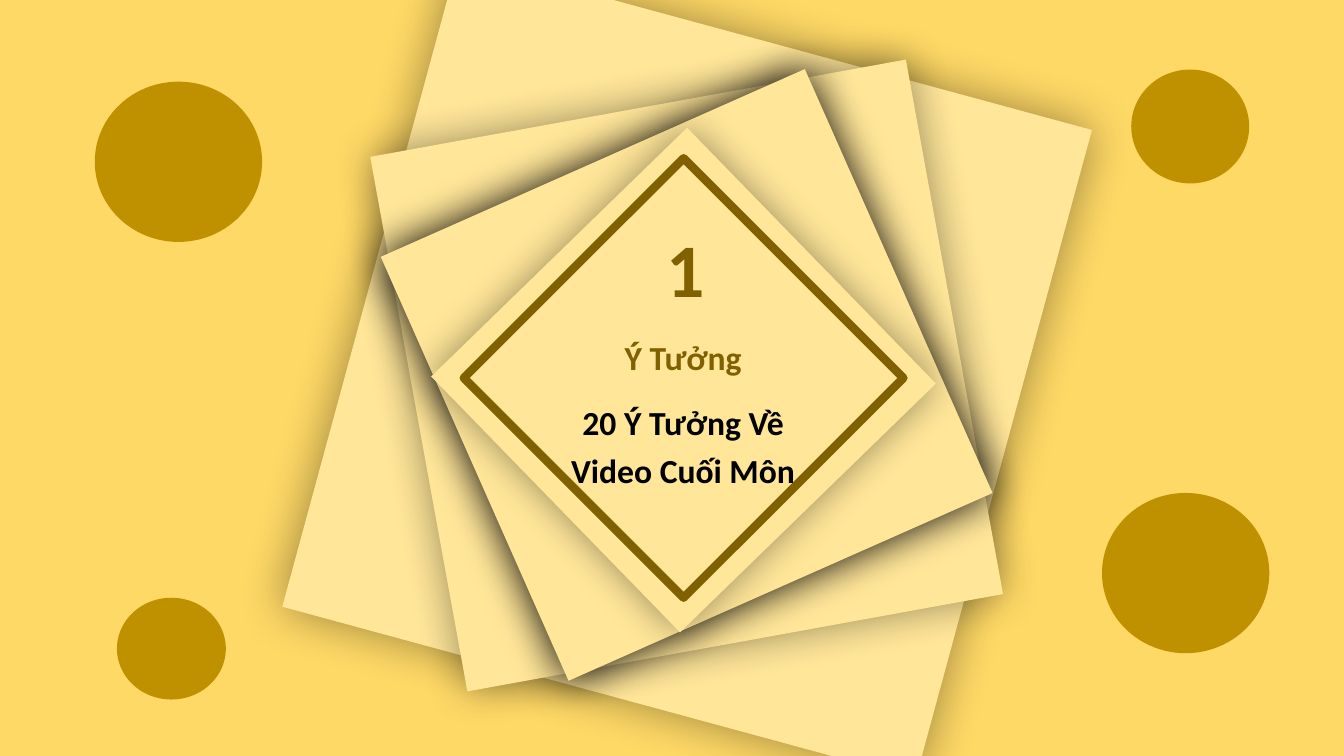
from lxml.etree import SubElement
from pptx import Presentation
from pptx.dml.color import RGBColor
from pptx.enum.shapes import MSO_SHAPE
from pptx.enum.text import MSO_ANCHOR, MSO_AUTO_SIZE, PP_ALIGN
from pptx.oxml.ns import qn
from pptx.util import Inches, Pt

COLORS = {
    "background": "FFD966",
    "card": "FFE699",
    "accent": "806000",
    "dot": "BF9000",
    "text": "000000",
    "shadow": "000000",
}
NUMBER = "1"
TOPIC = [("Ý Tưởng", "accent"), ("20 Ý Tưởng Về Video Cuối Môn", "text")]
CARDS = [
    {"box": (3.56, 0.32, 6.51, 6.67), "angle": 15.2, "alpha": 40, "blur": 34},
    {"box": (4.11, 1.03, 5.4, 5.39), "angle": 349.7, "alpha": 40, "blur": 30},
    {"box": (4.51, 1.42, 4.6, 4.6), "angle": 66.1, "alpha": 100, "blur": 30},
    {"box": (5.01, 2, 3.54, 3.54), "angle": 315.8, "alpha": 40, "blur": 28},
]
FRAME = (4.6, 1.57, 4.36, 4.36)
TOPIC_BOX = (5.3, 3.21, 2.95, 1.69)
NUMBER_BOX = (6.51, 2.15, 0.64, 1.01)
DOTS = [
    (0.94, 0.81, 1.66, 1.59),
    (10.93, 4.89, 1.66, 1.59),
    (11.22, 0.69, 1.17, 1.13),
    (1.16, 5.93, 1.08, 1.01),
]


def rgb(name):
    return RGBColor.from_string(COLORS[name])


def inches(box):
    return [Inches(v) for v in box]


def add_solid(slide, kind, box, color):
    sp = slide.shapes.add_shape(kind, *inches(box))
    sp.shadow.inherit = False
    sp.fill.solid()
    sp.fill.fore_color.rgb = rgb(color)
    sp.line.fill.background()
    return sp


def add_glow_shadow(sp, alpha, blur):
    effects = sp._element.spPr.find(qn("a:effectLst"))
    shadow = SubElement(effects, qn("a:outerShdw"), blurRad=str(Pt(blur)),
                        dist="0", dir="0", algn="ctr", rotWithShape="0")
    color = SubElement(shadow, qn("a:srgbClr"), val=COLORS["shadow"])
    SubElement(color, qn("a:alpha"), val=str(alpha * 1000))


def write(p, text, size=24, color="text", align=PP_ALIGN.CENTER,
          spacing=1.0, before=0, after=0):
    p.alignment = align
    p.line_spacing = spacing
    p.space_before = Pt(before)
    p.space_after = Pt(after)
    r = p.add_run()
    r.text = text
    r.font.name = "Calibri"
    r.font.size = Pt(size)
    r.font.bold = True
    r.font.color.rgb = rgb(color)


def main():
    prs = Presentation()
    prs.slide_width, prs.slide_height = Inches(13.33), Inches(7.5)
    slide = prs.slides.add_slide(prs.slide_layouts[5])
    slide.background.fill.solid()
    slide.background.fill.fore_color.rgb = rgb("background")

    for card in CARDS:
        sp = add_solid(slide, MSO_SHAPE.RECTANGLE, card["box"], "card")
        sp.rotation = card["angle"]
        add_glow_shadow(sp, card["alpha"], card["blur"])

    frame = add_solid(slide, MSO_SHAPE.DIAMOND, FRAME, "card")
    frame.fill.background()
    frame.rotation = 90
    frame.line.color.rgb = rgb("accent")
    frame.line.width = Pt(6)

    title = slide.shapes.title
    title.left, title.top, title.width, title.height = inches(TOPIC_BOX)
    slide.shapes._spTree.append(title._element)
    tf = title.text_frame
    tf.word_wrap = True
    tf.auto_size = MSO_AUTO_SIZE.SHAPE_TO_FIT_TEXT
    tf.vertical_anchor = MSO_ANCHOR.TOP
    for i, (text, color) in enumerate(TOPIC):
        p = tf.add_paragraph() if i else tf.paragraphs[0]
        write(p, text, color=color, spacing=1.2, before=6 if i else 0, after=6)

    number = slide.shapes.add_textbox(*inches(NUMBER_BOX))
    tf = number.text_frame
    tf.word_wrap = True
    tf.auto_size = MSO_AUTO_SIZE.SHAPE_TO_FIT_TEXT
    write(tf.paragraphs[0], NUMBER, size=54, color="accent", align=PP_ALIGN.LEFT)

    for box in DOTS:
        add_solid(slide, MSO_SHAPE.OVAL, box, "dot")

    prs.save("out.pptx")


if __name__ == "__main__":
    main()
